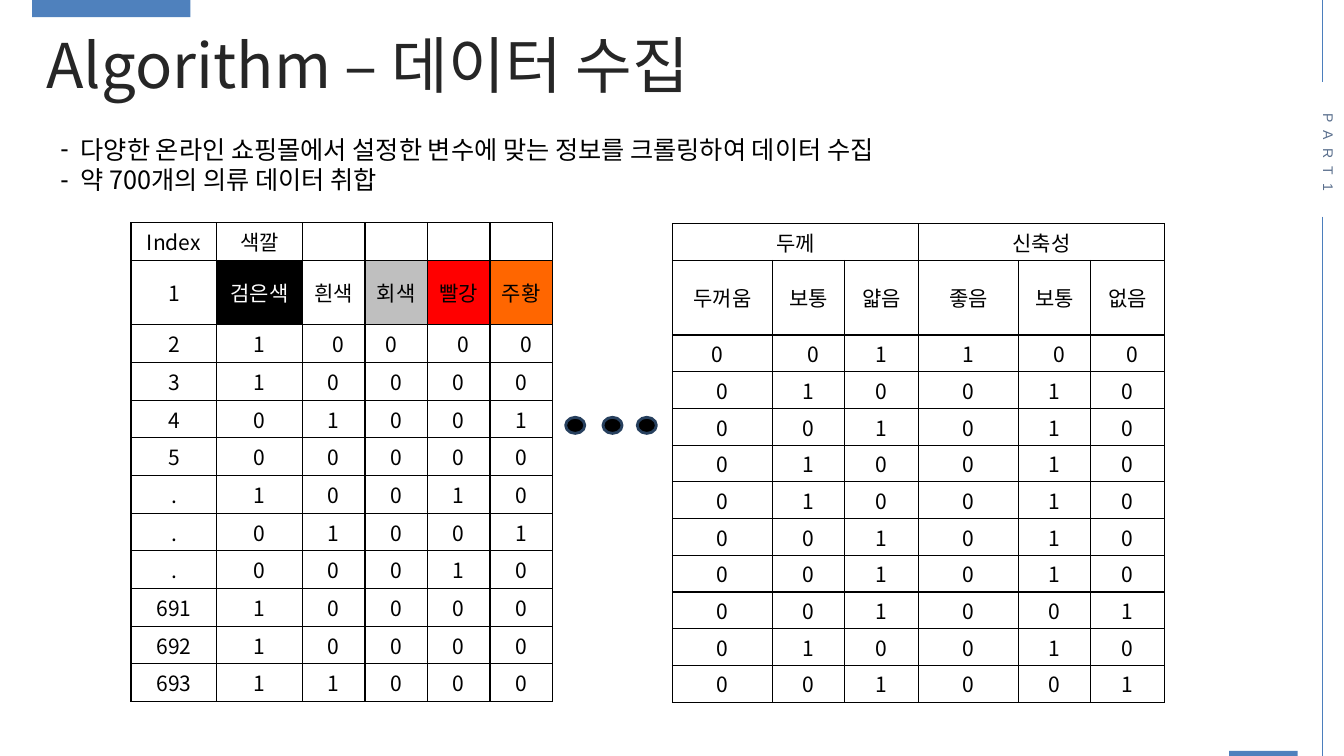
from lxml.etree import SubElement
from pptx import Presentation
from pptx.dml.color import RGBColor
from pptx.enum.shapes import MSO_CONNECTOR, MSO_SHAPE
from pptx.enum.text import MSO_ANCHOR, MSO_AUTO_SIZE, PP_ALIGN
from pptx.oxml.ns import qn
from pptx.util import Inches, Pt

BLACK = RGBColor(0x00, 0x00, 0x00)
WHITE = RGBColor(0xFF, 0xFF, 0xFF)
GRAY = RGBColor(0xBF, 0xBF, 0xBF)
RED = RGBColor(0xFF, 0x00, 0x00)
ORANGE = RGBColor(0xFF, 0x66, 0x00)
BLUE = RGBColor(0x4F, 0x81, 0xBD)
RULE = RGBColor(0x4B, 0x7E, 0xBC)
NAVY = RGBColor(0x27, 0x40, 0x5E)
SLATE = RGBColor(0x5A, 0x6F, 0x8D)
INK = RGBColor(0x26, 0x26, 0x26)
NOTO = "Noto Sans CJK KR"

COLORS = [
    "Index 색깔".split() + [""] * 4,
    "1 검은색 흰색 회색 빨강 주황".split(),
    *(row.split() for row in (
        "2 1 0 0 0 0", "3 1 0 0 0 0", "4 0 1 0 0 1", "5 0 0 0 0 0",
        ". 1 0 0 1 0", ". 0 1 0 0 1", ". 0 0 0 1 0",
        "691 1 0 0 0 0", "692 1 0 0 0 0", "693 1 1 0 0 0")),
]
TRAITS = [
    ["두께", "", "", "신축성", "", ""],
    "두꺼움 보통 얇음 좋음 보통 없음".split(),
    *(list(row) for row in (
        "001100", "010010", "001010", "010010", "010010",
        "001010", "001010", "001001", "010010", "001001")),
]
FILLS = [WHITE, BLACK, None, GRAY, RED, ORANGE]


def set_all(item, values):
    for name, value in values.items():
        setattr(item, name, value)


def place(shape, box):
    names = ("left", "top", "width", "height")
    set_all(shape, dict(zip(names, map(Inches, box))))


def write(para, text, size, color, face=NOTO):
    run = para.add_run()
    run.text = text
    set_all(run.font, {"size": Pt(size), "name": face, "bold": False})
    run.font.color.rgb = color
    SubElement(run.font._element, qn("a:ea"), typeface=face)
    return run


def add_title(slide, box):
    title = slide.shapes.title
    place(title, box)
    frame = title.text_frame
    set_all(frame, {"word_wrap": False, "auto_size": MSO_AUTO_SIZE.NONE,
                    "vertical_anchor": MSO_ANCHOR.MIDDLE})
    para = frame.paragraphs[0]
    para.alignment = PP_ALIGN.LEFT
    write(para, "Algorithm – 데이터 수집", 44, INK)


def add_notes(slide, box, lines):
    """Fill the body placeholder with a dashed list."""
    body = slide.placeholders[1]
    place(body, box)
    frame = body.text_frame
    frame.auto_size = MSO_AUTO_SIZE.NONE
    for i, line in enumerate(lines):
        para = frame.add_paragraph() if i else frame.paragraphs[0]
        props = para._p.get_or_add_pPr()
        props.set("marL", str(Inches(0.2)))
        props.set("indent", str(-Inches(0.2)))
        SubElement(props, qn("a:buChar"), char="-")
        para.space_before = Pt(0)
        write(para, line, 18, BLACK)


def add_border(cell):
    props = cell._tc.get_or_add_tcPr()
    for i, side in enumerate(("lnL", "lnR", "lnT", "lnB")):
        line = props.makeelement(qn(f"a:{side}"), {"w": str(Pt(1))})
        fill = SubElement(line, qn("a:solidFill"))
        SubElement(fill, qn("a:srgbClr"), val=str(BLACK))
        props.insert(i, line)


def add_grid(slide, box, rows, widths, tall, shifts, fills=(None,) * 6, spans=()):
    """Draw a table; shifts nudge the first data row, tall sizes row two."""
    count = len(rows)
    table = slide.shapes.add_table(count, len(widths), *map(Inches, box)).table
    set_all(table, {"first_row": False, "horz_banding": False})
    for col, width in zip(table.columns, widths):
        col.width = Inches(width)
    short = (box[3] - tall) / (count - 1)
    for r, row in enumerate(rows):
        table.rows[r].height = Inches(tall if r == 1 else short)
        for c, text in enumerate(row):
            cell = table.cell(r, c)
            shift = shifts[c] if r == 2 else 0
            set_all(cell, {"vertical_anchor": MSO_ANCHOR.MIDDLE,
                           "margin_left": Inches(0.05 + max(shift, 0)),
                           "margin_right": Inches(0.05 + max(-shift, 0)),
                           "margin_top": Inches(0.02),
                           "margin_bottom": Inches(0.02)})
            tint = fills[c] if r == 1 else None
            if tint is None:
                cell.fill.background()
            else:
                cell.fill.solid()
                cell.fill.fore_color.rgb = tint
            add_border(cell)
            para = cell.text_frame.paragraphs[0]
            para.alignment = PP_ALIGN.CENTER
            if text:
                write(para, text, 15, WHITE if tint == BLACK else BLACK)
            else:
                para.font.size = Pt(15)
    for first, last in spans:
        table.cell(0, first).merge(table.cell(0, last))


def add_shape(slide, kind, box, fill, edge=None):
    shape = slide.shapes.add_shape(kind, *map(Inches, box))
    shape.shadow.inherit = False
    shape.fill.solid()
    shape.fill.fore_color.rgb = fill
    if edge is None:
        shape.line.fill.background()
    else:
        shape.line.color.rgb = edge
        shape.line.width = Pt(2)


def add_dots(slide, top, lefts):
    for left in lefts:
        add_shape(slide, MSO_SHAPE.OVAL, (left, top, 0.19, 0.16), BLACK, NAVY)


def add_side(slide, x):
    """Draw the split rule and the turned part label at the right edge."""
    for top, end in ((2.15, 7.5), (0, 0.81)):
        line = slide.shapes.add_connector(
            MSO_CONNECTOR.STRAIGHT, *map(Inches, (x, top, x, end)))
        line.line.color.rgb = RULE
        line.line.width = Pt(0.75)
        SubElement(line._element.spPr, qn("a:effectLst"))
    label = slide.shapes.add_textbox(*map(Inches, (x - 0.18, 1.03, 0.37, 0.97)))
    frame = label.text_frame
    frame.word_wrap = False
    frame._txBody.bodyPr.set("vert", "vert")
    run = write(frame.paragraphs[0], "PART1", 10, SLATE, "Arial")
    run.font._element.set("spc", "600")


def main():
    deck = Presentation()
    set_all(deck, {"slide_width": Inches(13.33), "slide_height": Inches(7.5)})
    slide = deck.slides.add_slide(deck.slide_layouts[1])
    add_notes(slide, (0.5, 1.28, 9.53, 0.7), (
        "다양한 온라인 쇼핑몰에서 설정한 변수에 맞는 정보를 크롤링하여 데이터 수집",
        "약 700개의 의류 데이터 취합"))
    add_grid(slide, (1.3, 2.21, 4.18, 4.75), COLORS, [0.85] * 2 + [0.62] * 4,
             0.64, (0, 0, 0.1, -0.1, 0.1, 0.1), fills=FILLS)
    add_grid(slide, (6.67, 2.22, 4.88, 4.75), TRAITS, [0.99, 0.72, 0.73] * 2,
             0.74, (-0.1, 0.1, 0, 0, 0.1, 0.1), spans=((0, 2), (3, 5)))
    add_dots(slide, 4.14, (5.61, 5.98, 6.32))
    for bar in ((0.32, 0, 1.57, 0.17), (12.19, 7.45, 0.68, 0.05)):
        add_shape(slide, MSO_SHAPE.RECTANGLE, bar, BLUE)
    add_title(slide, (0.36, 0.22, 6.9, 0.83))
    add_side(slide, 13.12)
    deck.save("out.pptx")


if __name__ == "__main__":
    main()
